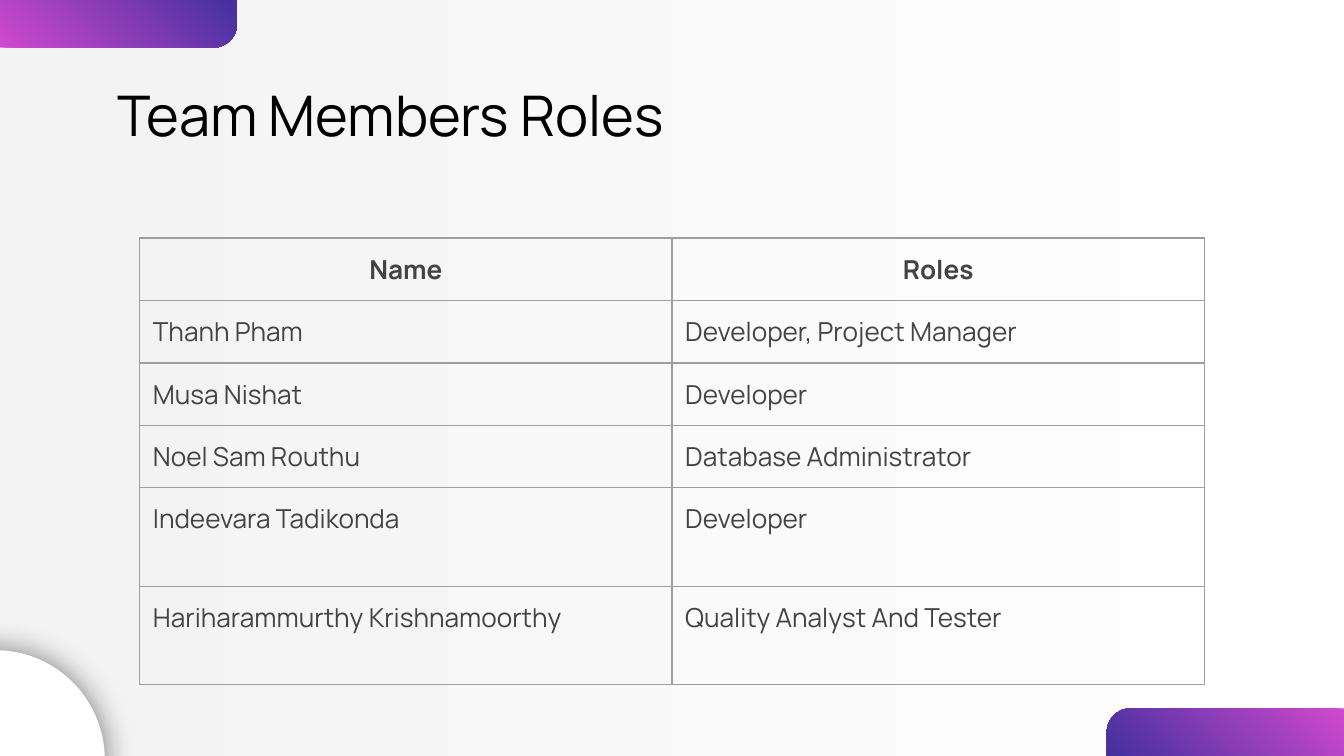
from lxml import etree
from pptx import Presentation
from pptx.dml.color import RGBColor
from pptx.enum.shapes import MSO_SHAPE as Shape
from pptx.enum.text import MSO_ANCHOR as Anchor, PP_ALIGN as Align
from pptx.oxml import parse_xml
from pptx.oxml.ns import nsdecls, qn
from pptx.util import Cm, Pt

FONT = "Manrope"
WHITE = RGBColor(0xFF, 0xFF, 0xFF)
PALE_GREY = RGBColor(0xF3, 0xF3, 0xF3)
PINK = RGBColor(0xD1, 0x49, 0xCE)
INDIGO = RGBColor(0x43, 0x30, 0x9F)
BLACK = RGBColor(0, 0, 0)
DARK_GREY = RGBColor(0x43, 0x43, 0x43)
BORDER_GREY = RGBColor(0x9E, 0x9E, 0x9E)
INSET = Cm(0.25)

ROLES = [
    ("Name", "Roles"),
    ("Thanh Pham", "Developer, Project Manager"),
    ("Musa Nishat", "Developer"),
    ("Noel Sam Routhu", "Database Administrator"),
    ("Indeevara Tadikonda", "Developer"),
    ("Hariharammurthy Krishnamoorthy", "Quality Analyst And Tester"),
]


def set_gradient(fill, start, end, angle):
    fill.gradient()
    fill.gradient_angle = angle
    for stop, color in zip(fill.gradient_stops, (start, end)):
        stop.color.rgb = color


def add_text(paragraph, text, size, color, bold=False):
    run = paragraph.add_run()
    run.text = text
    run.font.name = FONT
    run.font.size = Pt(size)
    run.font.bold = bold
    run.font.color.rgb = color


presentation = Presentation()
presentation.slide_width = Cm(25.4)
presentation.slide_height = Cm(14.29)
slide = presentation.slides.add_slide(presentation.slide_layouts[5])
set_gradient(slide.background.fill, WHITE, PALE_GREY, 180)

# Corner tabs
tab_width, tab_height = Cm(4.48), Cm(0.9)
for left, top, rotation in (
    (presentation.slide_width - tab_width, presentation.slide_height - tab_height, 0),
    (0, 0, 180),
):
    tab = slide.shapes.add_shape(Shape.ROUND_1_RECTANGLE, left, top, tab_width, tab_height)
    tab.adjustments[0] = 0.5
    tab.rotation = rotation
    tab.element.spPr.find(qn("a:xfrm")).set("flipH", "1")
    tab.shadow.inherit = False
    tab.line.fill.background()
    set_gradient(tab.fill, PINK, INDIGO, 315)

# Corner circle with a soft shadow
circle = slide.shapes.add_shape(Shape.OVAL, Cm(-2.16), Cm(12.29), Cm(4.14), Cm(4.14))
circle.fill.solid()
circle.fill.fore_color.rgb = WHITE
circle.line.fill.background()
circle.shadow.inherit = False
circle.element.spPr.find(qn("a:effectLst")).append(parse_xml(
    f'<a:outerShdw {nsdecls("a")} blurRad="{Pt(16.9)}" dist="0" dir="0" '
    'algn="ctr" rotWithShape="0"><a:srgbClr val="000000">'
    '<a:alpha val="50000"/></a:srgbClr></a:outerShdw>'))

# Title
title = slide.shapes.title
title.left, title.top, title.width, title.height = Cm(1.98), Cm(1.5), Cm(21.44), Cm(1.32)
frame = title.text_frame
frame.word_wrap = True
frame.vertical_anchor = Anchor.MIDDLE
frame.margin_left = frame.margin_right = frame.margin_top = frame.margin_bottom = INSET
frame.paragraphs[0].alignment = Align.LEFT
add_text(frame.paragraphs[0], "Team Members Roles", 30, BLACK)

# Table of names and roles
row_heights = [Cm(1.18)] * 4 + [Cm(1.86)] * 2
column_width = Cm(10.06)
table = slide.shapes.add_table(
    len(ROLES), 2, Cm(2.64), Cm(4.5), 2 * column_width, sum(row_heights)).table
table.horz_banding = False
for column in table.columns:
    column.width = column_width
for row_index, (row, texts) in enumerate(zip(table.rows, ROLES)):
    row.height = row_heights[row_index]
    is_header = row_index == 0
    for cell, text in zip(row.cells, texts):
        cell.margin_left = cell.margin_right = cell.margin_top = cell.margin_bottom = INSET
        cell.vertical_anchor = Anchor.TOP
        paragraph = cell.text_frame.paragraphs[0]
        paragraph.alignment = Align.CENTER if is_header else Align.LEFT
        add_text(paragraph, text, 14, DARK_GREY, is_header)
        # Borders come before the fill in the cell properties
        properties = cell._tc.get_or_add_tcPr()
        for side in ("lnL", "lnR", "lnT", "lnB"):
            border = etree.SubElement(properties, qn(f"a:{side}"), w=str(Pt(0.75)))
            solid = etree.SubElement(border, qn("a:solidFill"))
            etree.SubElement(solid, qn("a:srgbClr"), val=str(BORDER_GREY))
        cell.fill.background()

presentation.save("out.pptx")
